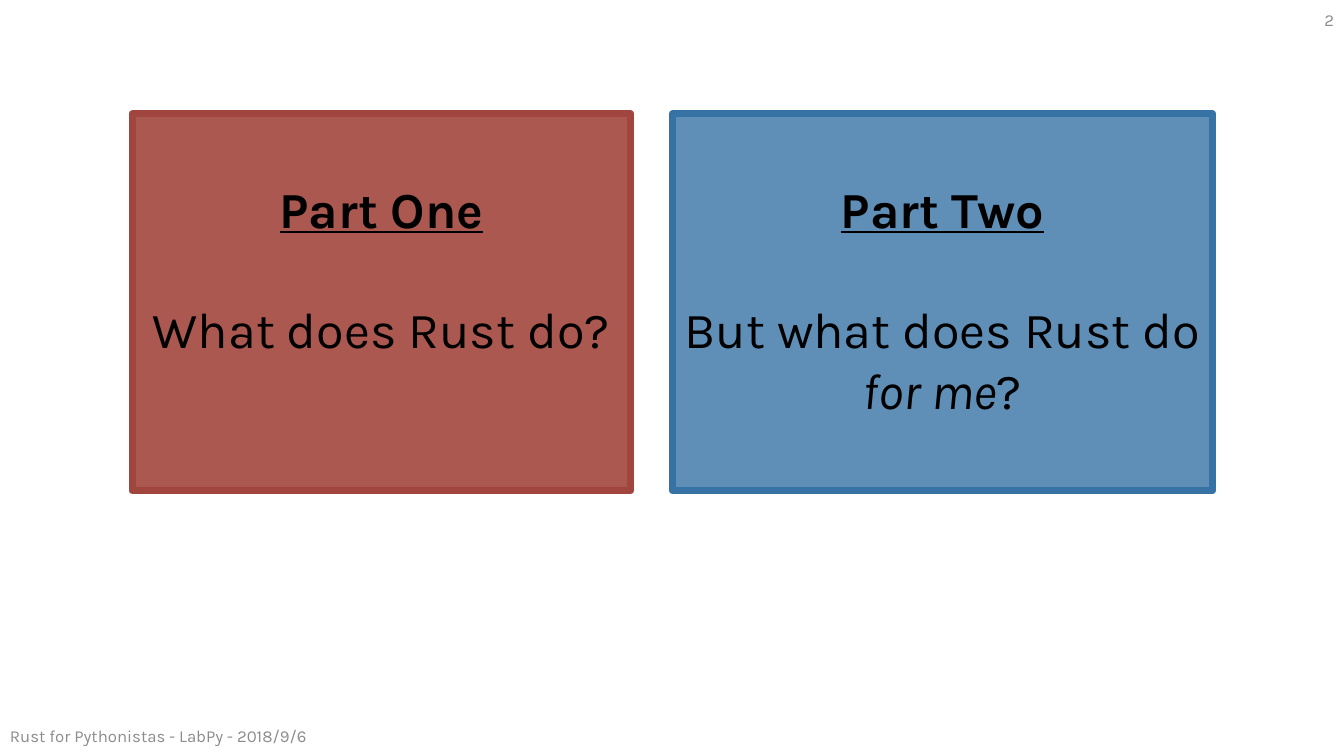
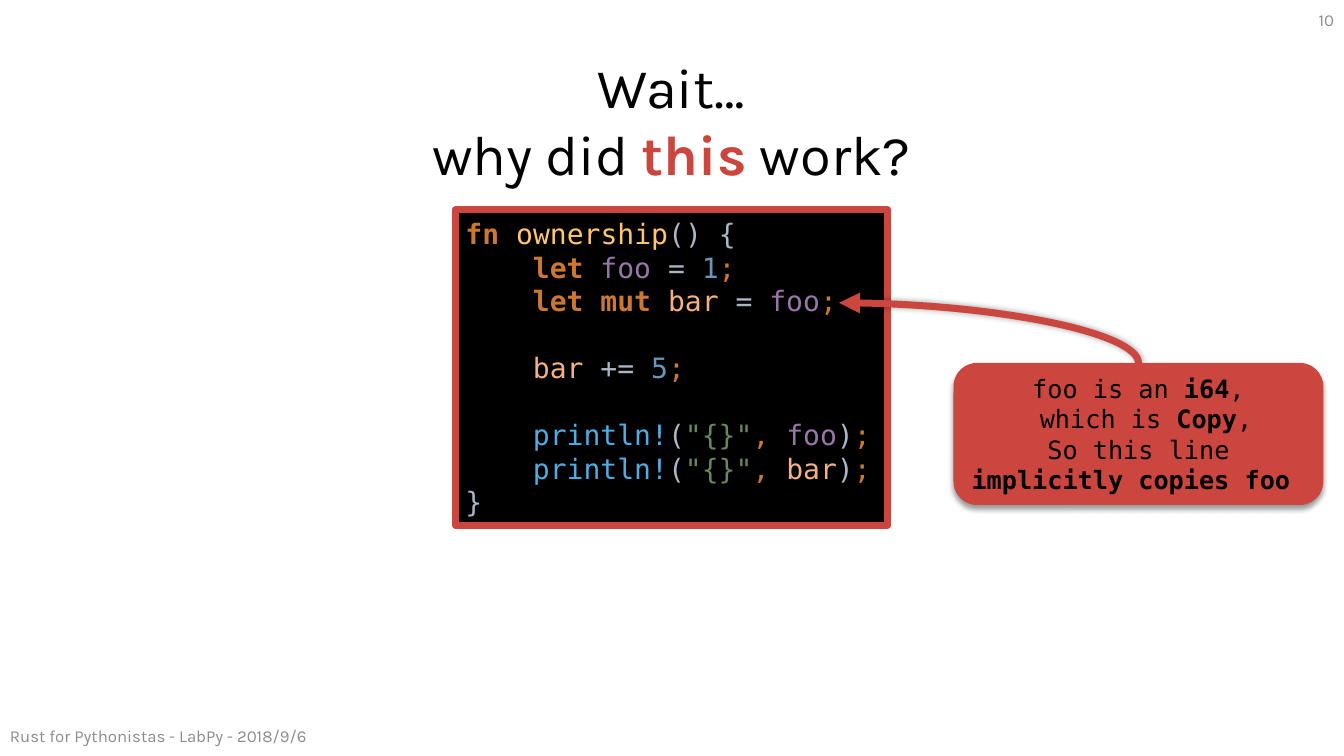
from lxml.etree import SubElement
from pptx import Presentation
from pptx.dml.color import RGBColor
from pptx.enum.shapes import MSO_CONNECTOR as Connector, MSO_SHAPE as Shape
from pptx.enum.text import MSO_ANCHOR as Anchor, PP_ALIGN as Align
from pptx.oxml.ns import qn
from pptx.util import Pt

rgb = RGBColor.from_string
SANS, MONO = "Karla", "DejaVu Sans Mono"
BLACK, GRAY, RED = "000000", "8C8C8C", "CA463E"
BOLD = {"bold": True}
HEADING = {"bold": True, "underline": True}
ITALIC = {"italic": True}


def write(paragraph, runs, font, size, alignment=Align.CENTER):
    paragraph.alignment = alignment
    for text, changes in runs:
        run = paragraph.add_run()
        run.text = text
        values = {"name": font, "size": Pt(size), "color": BLACK, **changes}
        run.font.color.rgb = rgb(values.pop("color"))
        for attribute, value in values.items():
            setattr(run.font, attribute, value)


def add_shadow(shape, blur, distance, angle):
    effects = SubElement(shape._element.spPr, qn("a:effectLst"))
    shadow = SubElement(effects, qn("a:outerShdw"), blurRad=str(Pt(blur)), dist=str(Pt(distance)),
                        dir=str(angle * 60000), algn="ctr", rotWithShape="0")
    color = SubElement(shadow, qn("a:srgbClr"), val=BLACK)
    SubElement(color, qn("a:alpha"), val="40000")


presentation = Presentation()
presentation.slide_width, presentation.slide_height = Pt(960), Pt(540)
slides = []
for number in ("2", "10"):
    slide = presentation.slides.add_slide(presentation.slide_layouts[6])
    slides.append(slide)
    for text, left, top, width, alignment in (
        ("Rust for Pythonistas - LabPy - 2018/9/6", 0, 511.2, 324, Align.LEFT),
        (number, 928, 0, 32, Align.RIGHT),
    ):
        frame = slide.shapes.add_textbox(Pt(left), Pt(top), Pt(width), Pt(28.8)).text_frame
        frame.word_wrap = True
        frame.vertical_anchor = Anchor.MIDDLE
        write(frame.paragraphs[0], [(text, {"color": GRAY})], SANS, 12, alignment)
parts_slide, code_slide = slides

PART_LINE = 42.5
for left, width, color, opacity, heading, question in (
    (94.3, 356.4, "A1463E", 90, "Part One", [("What does Rust do?", {})]),
    (480.2, 386, "3772A4", 80, "Part Two",
     [("But what does Rust do ", {}), ("for me", ITALIC), ("?", {})]),
):
    part = parts_slide.shapes.add_shape(Shape.RECTANGLE, Pt(left), Pt(81.4), Pt(width), Pt(269.3))
    part.shadow.inherit = False
    part.fill.solid()
    part.fill.fore_color.rgb = rgb(color)
    fill_color = part._element.spPr.find(qn("a:solidFill")).find(qn("a:srgbClr"))
    SubElement(fill_color, qn("a:alpha"), val=str(opacity * 1000))
    part.line.color.rgb = rgb(color)
    part.line.width = Pt(5)
    frame = part.text_frame
    frame.word_wrap = True
    frame.vertical_anchor = Anchor.TOP
    frame.margin_top = Pt(3.6 + PART_LINE)
    write(frame.paragraphs[0], [(heading, HEADING)], SANS, 36)
    paragraph = frame.add_paragraph()
    paragraph.space_before = Pt(PART_LINE)
    write(paragraph, question, SANS, 36)

TOKENS = {
    "keyword": {"color": "CC7832", "bold": True},
    "mark": {"color": "CC7832"},
    "function": {"color": "FFC66D"},
    "plain": {"color": "A9B7C6"},
    "constant": {"color": "9876AA"},
    "mutable": {"color": "F4B183"},
    "number": {"color": "6897BB"},
    "macro": {"color": "4EADE5"},
    "string": {"color": "6A8759"},
}
END = ("mark", ";")
PRINT = [("macro", "println!"), ("plain", "("), ("string", '"{}"'), ("mark", ", ")]
CLOSE = [("plain", ")"), END]
CODE = [
    (0, 0, [("keyword", "fn "), ("function", "ownership"), ("plain", "() {")]),
    (1, 0, [("keyword", "let "), ("constant", "foo "), ("plain", "= "), ("number", "1"), END]),
    (1, 0, [("keyword", "let mut "), ("mutable", "bar "), ("plain", "= "), ("constant", "foo"), END]),
    (1, 1, [("mutable", "bar "), ("plain", "+= "), ("number", "5"), END]),
    (1, 1, PRINT + [("constant", "foo")] + CLOSE),
    (1, 0, PRINT + [("mutable", "bar")] + CLOSE),
    (0, 0, [("plain", "}")]),
]
CODE_INDENT, CODE_LINE = 48.16, 23.8

code_box = code_slide.shapes.add_shape(Shape.RECTANGLE, Pt(325.4), Pt(149.8), Pt(308.9), Pt(225.4))
code_box.shadow.inherit = False
code_box.fill.solid()
code_box.fill.fore_color.rgb = rgb(BLACK)
code_box.line.color.rgb = rgb(RED)
code_box.line.width = Pt(5)
frame = code_box.text_frame
frame.word_wrap = True
frame.vertical_anchor = Anchor.MIDDLE
for index, (indent, gap, tokens) in enumerate(CODE):
    paragraph = frame.add_paragraph() if index else frame.paragraphs[0]
    paragraph._p.get_or_add_pPr().set("marL", str(Pt(indent * CODE_INDENT)))
    paragraph.space_before = Pt(gap * CODE_LINE)
    write(paragraph, [(text, TOKENS[kind]) for kind, text in tokens], MONO, 20, Align.LEFT)

title = code_slide.shapes.add_textbox(Pt(297.4), Pt(33.8), Pt(364.3), Pt(104.4)).text_frame
title.word_wrap = True
write(title.paragraphs[0], [("Wait…", {})], SANS, 40)
write(title.add_paragraph(),
      [("why did ", {}), ("this", {"bold": True, "color": RED}), (" work?", {})], SANS, 40)

arrow = code_slide.shapes.add_connector(Connector.CURVE, Pt(684.7), Pt(344.9), Pt(727.9), Pt(131))
properties = arrow._element.spPr
properties.find(qn("a:xfrm")).set("rot", str(270 * 60000))
properties.find(qn("a:prstGeom")).set("prst", "curvedConnector2")
arrow.line.color.rgb = rgb(RED)
arrow.line.width = Pt(5)
SubElement(properties.find(qn("a:ln")), qn("a:tailEnd"), type="triangle")
add_shadow(arrow, 5, 0, 0)

callout = code_slide.shapes.add_shape(Shape.ROUNDED_RECTANGLE, Pt(681.1), Pt(259.2), Pt(264.2), Pt(101.5))
callout.fill.solid()
callout.fill.fore_color.rgb = rgb(RED)
callout.line.fill.background()
add_shadow(callout, 4, 3, 90)
frame = callout.text_frame
frame.word_wrap = True
frame.vertical_anchor = Anchor.MIDDLE
for index, runs in enumerate((
    [("foo is an ", {}), ("i64", BOLD), (",", {})],
    [(" which is ", {}), ("Copy", BOLD), (",", {})],
    [("So this line ", {}), ("implicitly copies foo ", BOLD)],
)):
    paragraph = frame.add_paragraph() if index else frame.paragraphs[0]
    write(paragraph, runs, MONO, 18)

presentation.save("out.pptx")
